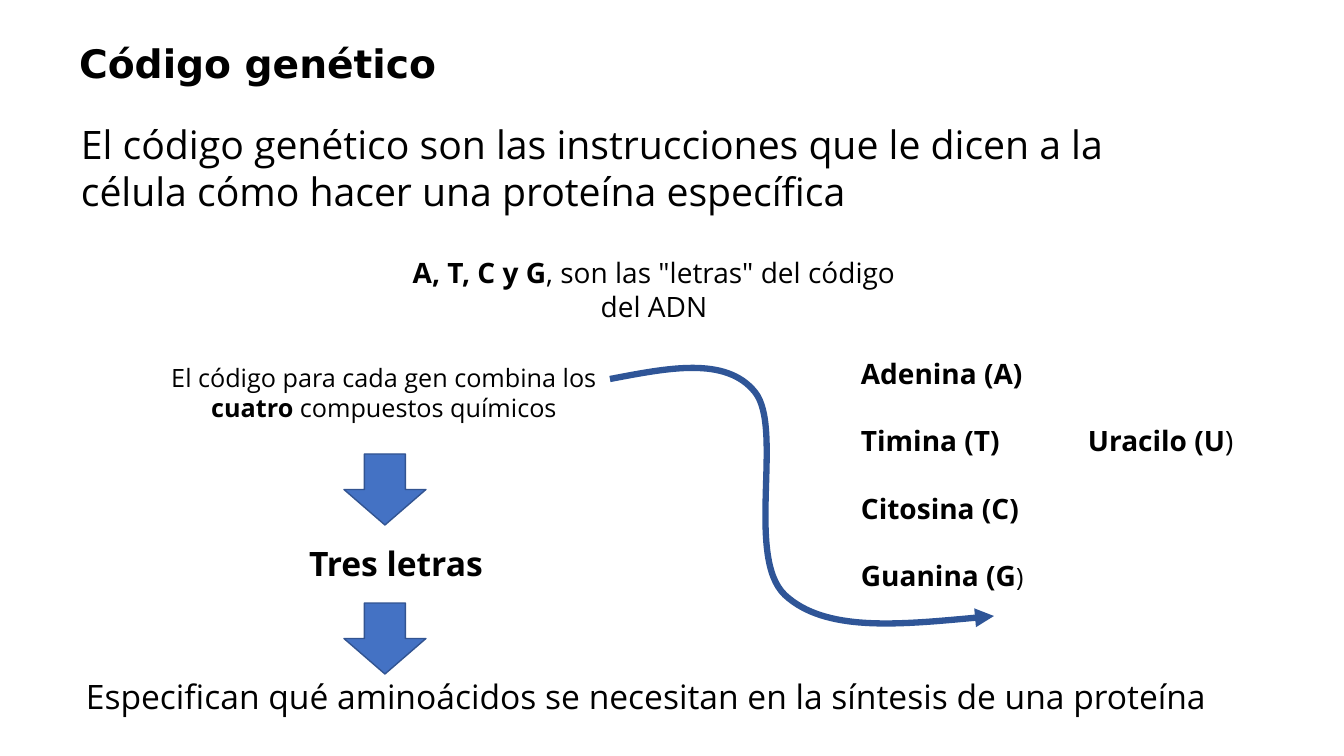
from typing import NamedTuple

from lxml import etree
from pptx import Presentation
from pptx.dml.color import RGBColor
from pptx.enum.shapes import MSO_SHAPE
from pptx.enum.text import MSO_ANCHOR, MSO_AUTO_SIZE, PP_ALIGN
from pptx.oxml.ns import qn
from pptx.util import Pt

LEFT, CENTER, RIGHT = PP_ALIGN.LEFT, PP_ALIGN.CENTER, PP_ALIGN.RIGHT
TOP, FIT = MSO_ANCHOR.TOP, MSO_AUTO_SIZE.SHAPE_TO_FIT_TEXT
DOWN_ARROW = MSO_SHAPE.DOWN_ARROW

EMU_PER_PX = 914400 / 100.8
BODY_FONT, TITLE_FONT = "Open Sans", "DejaVu Sans"
BLACK, BLUE, ARROW_EDGE, CURVE_BLUE = "000000", "4472C4", "325491", "2F5597"


class Run(NamedTuple):
    text: str
    bold: bool = False
    size: int | None = None


class Box(NamedTuple):
    left: int
    top: int
    width: int
    height: int


class TextBlock(NamedTuple):
    box: Box
    paragraphs: list[list[Run]]
    size: int
    align: PP_ALIGN = LEFT
    line_spacing: float | None = None
    tab: int | None = None


def px(n: float) -> int:
    return round(n * EMU_PER_PX)


def color(value: str) -> RGBColor:
    return RGBColor.from_string(value)


def place(s, box: Box) -> None:
    s.left, s.top, s.width, s.height = map(px, box)


def write(s, paragraphs: list[list[Run]], *, size: int, align=LEFT, font: str = BODY_FONT,
          wrap: bool = True, line_spacing: float | None = None, tab: int | None = None) -> None:
    tf = s.text_frame
    tf.word_wrap, tf.auto_size, tf.vertical_anchor = wrap, FIT, TOP
    for i, runs in enumerate(paragraphs):
        p = tf.add_paragraph() if i else tf.paragraphs[0]
        p.alignment = align
        if line_spacing:
            p.line_spacing = line_spacing
        if tab:
            tabs = etree.SubElement(p._p.get_or_add_pPr(), qn("a:tabLst"))
            etree.SubElement(tabs, qn("a:tab"), pos=str(px(tab)), algn="l")
        for run in runs:
            r = p.add_run()
            r.text = run.text
            r.font.name, r.font.size = font, Pt(run.size or size)
            r.font.bold = run.bold
            r.font.color.rgb = color(BLACK)


def add_text(slide, block: TextBlock) -> None:
    s = slide.shapes.add_textbox(*map(px, block.box))
    write(s, block.paragraphs, size=block.size, align=block.align,
          line_spacing=block.line_spacing, tab=block.tab)


def add_down_arrow(slide, box: Box) -> None:
    sp = slide.shapes.add_shape(DOWN_ARROW, *map(px, box))
    sp.shadow.inherit = False
    sp.fill.solid()
    sp.fill.fore_color.rgb = color(BLUE)
    sp.line.color.rgb = color(ARROW_EDGE)
    sp.line.width = Pt(1)


def add_curved_arrow(slide, points: list[tuple[int, int]]) -> None:
    """Draw Bézier segments: a start, then two controls and an end for each."""
    builder = slide.shapes.build_freeform(*points[0], scale=EMU_PER_PX)
    builder.add_line_segments(points[1:], close=False)
    sp = builder.convert_to_shape()
    sp.shadow.inherit = False
    sp.fill.background()
    sp.line.color.rgb = color(CURVE_BLUE)
    sp.line.width = Pt(4.5)
    etree.SubElement(sp.line._get_or_add_ln(), qn("a:tailEnd"), type="triangle")

    # Join each three straight segments into one cubic curve
    segments = sp._element.xpath(".//a:lnTo")
    for i in range(0, len(segments), 3):
        curve = etree.Element(qn("a:cubicBezTo"))
        segments[i].addprevious(curve)
        for segment in segments[i:i + 3]:
            curve.append(segment[0])
            segment.getparent().remove(segment)


TITLE_BOX = Box(69, 34, 377, 57)

TEXTS = [
    # Bases, with uracil at the tab stop
    TextBlock(Box(851, 318, 401, 272), [
        [Run("Adenina (A)", True)],
        [Run("Timina (T)\tUracilo (U", True), Run(")")],
        [Run("Citosina (C)", True)],
        [Run("Guanina (G", True), Run(")", size=18)],
    ], 20, line_spacing=2.0, tab=227),
    # Definition
    TextBlock(Box(71, 115, 1080, 105), [[
        Run("El código genético son las instrucciones que le dicen a la célula "
            "cómo hacer una proteína específica")]], 28),
    # Letters of DNA
    TextBlock(Box(402, 251, 504, 78), [[
        Run("A, T, C y G", True), Run(', son las "letras" del código del ADN')]], 20, CENTER),
    # Steps from gene to protein
    TextBlock(Box(132, 357, 504, 72), [[
        Run("El código para cada gen combina los "), Run("cuatro", True),
        Run(" compuestos químicos")]], 18, CENTER),
    TextBlock(Box(135, 538, 522, 50), [[Run("Tres letras", True)]], 24, CENTER),
    TextBlock(Box(76, 671, 1268, 50), [[
        Run("Especifican qué aminoácidos se necesitan en la síntesis de una proteína")]], 24),
]

STEP_ARROWS = [Box(344, top, 82, 71) for top in (454, 603)]

CURVE = [(610, 379), (668, 368), (726, 356), (755, 392), (784, 428),
         (745, 557), (785, 595), (825, 632), (909, 624), (994, 616)]


def main() -> None:
    prs = Presentation()
    prs.slide_width, prs.slide_height = px(1344), px(756)
    slide = prs.slides.add_slide(prs.slide_layouts[5])

    # Title
    title = slide.shapes.title
    place(title, TITLE_BOX)
    write(title, [[Run("Código genético", True)]], size=28, align=RIGHT,
          font=TITLE_FONT, wrap=False)

    # Text and arrows
    for block in TEXTS:
        add_text(slide, block)
    add_curved_arrow(slide, CURVE)
    for box in STEP_ARROWS:
        add_down_arrow(slide, box)

    prs.save("out.pptx")


if __name__ == "__main__":
    main()
